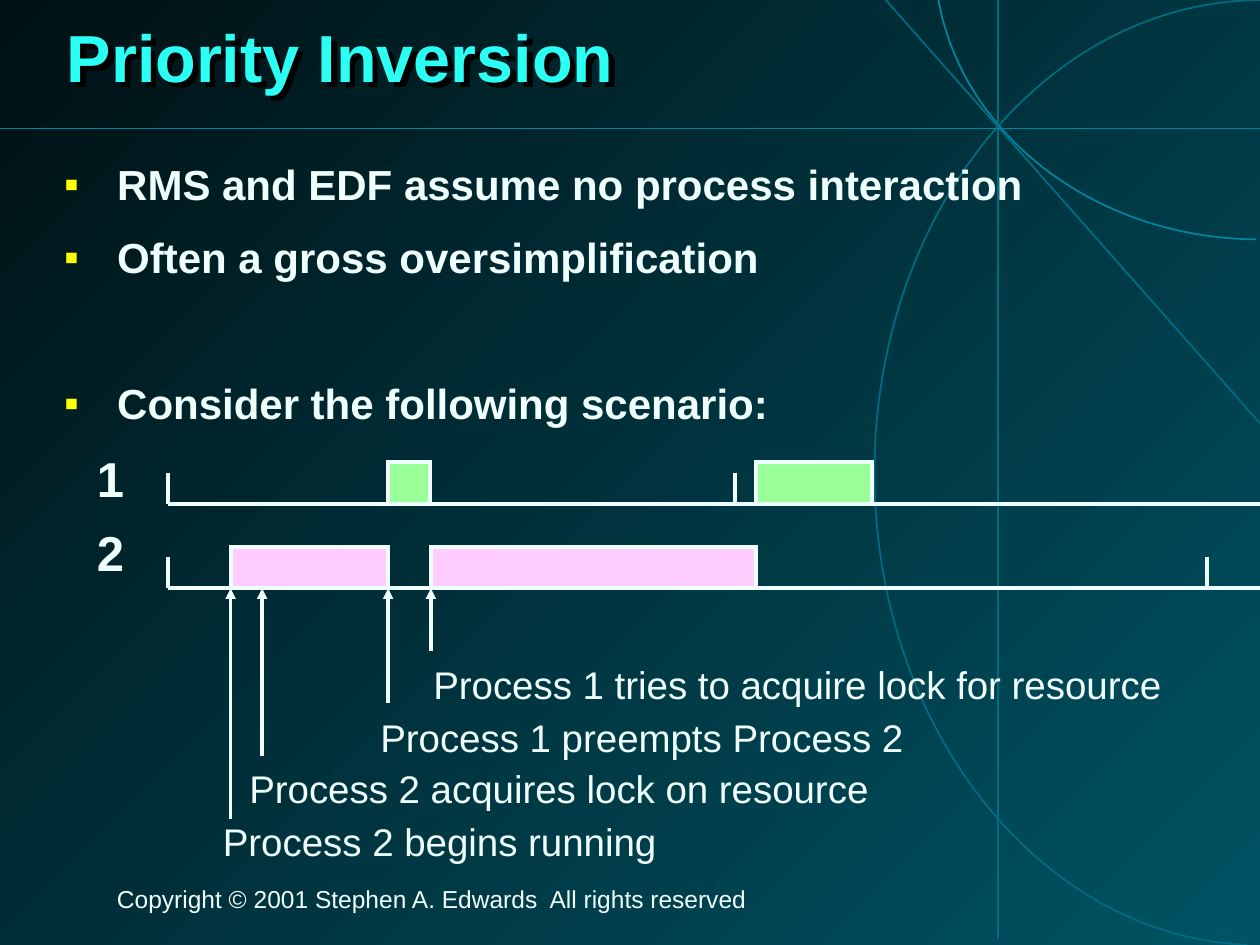
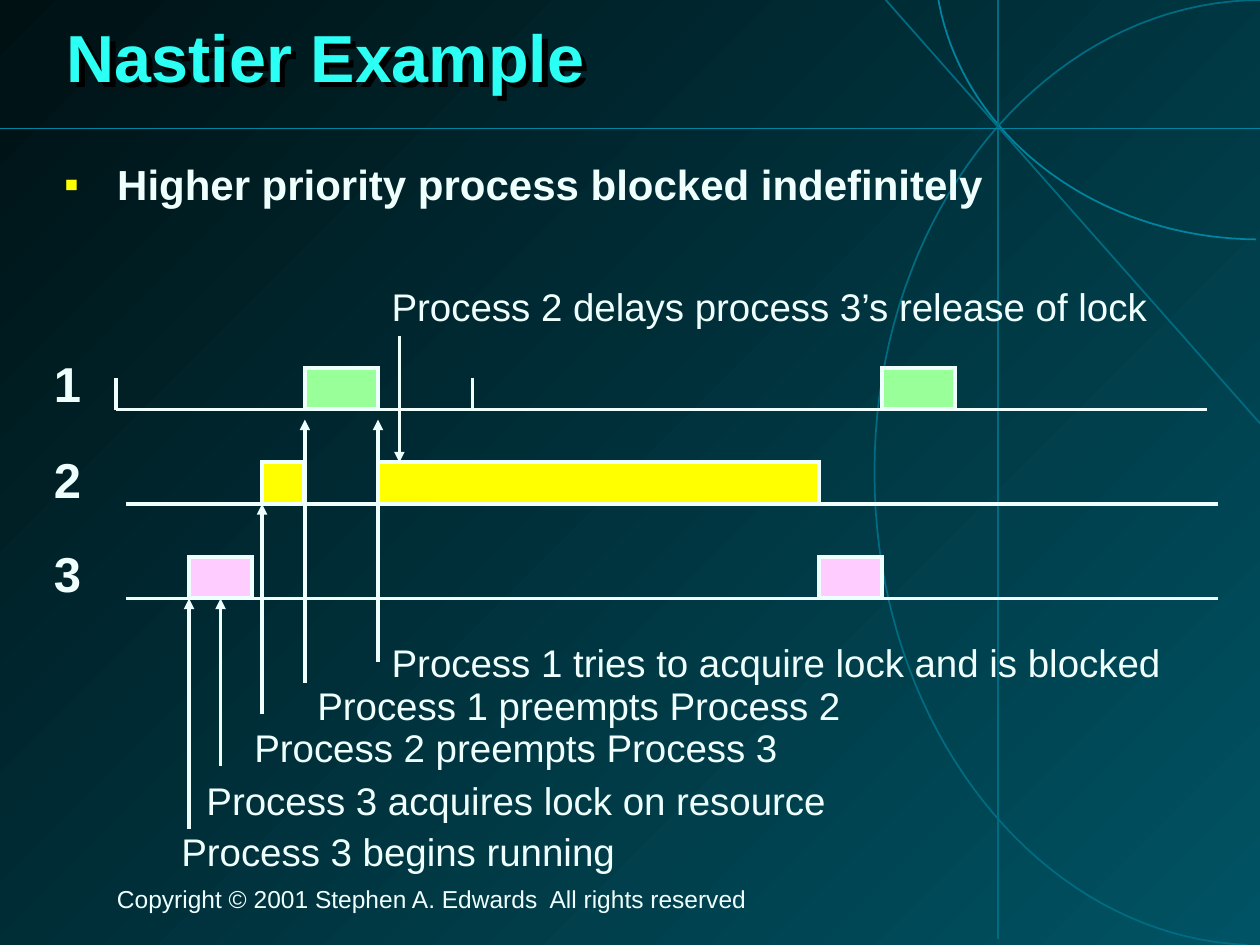
from dataclasses import dataclass
from typing import Any

from lxml import etree
from pptx import Presentation
from pptx.dml.color import RGBColor
from pptx.enum import shapes, text
from pptx.oxml import ns
from pptx.util import Inches, Pt

NIGHT = RGBColor(0x00, 0x11, 0x14)
TEAL = RGBColor(0x00, 0x53, 0x64)
DIM_LINE = RGBColor(0x00, 0x6C, 0x82)
BRIGHT_LINE = RGBColor(0x00, 0x85, 0xA0)
CYAN = RGBColor(0x2C, 0xFF, 0xF3)
PALE = RGBColor(0xEF, 0xFF, 0xFD)
YELLOW = RGBColor(0xFF, 0xFF, 0x00)
GREEN = RGBColor(0x99, 0xFF, 0x99)
PINK = RGBColor(0xFF, 0xCC, 0xFF)

FONT = "Arial"
COPYRIGHT = "Copyright © 2001 Stephen A. Edwards  All rights reserved"
BAR_HEIGHT, TICK_HEIGHT = 0.33, 0.25
LABEL_SIZE, EVENT_HEIGHT = (0.58, 0.5), 0.41
AXIS_WEIGHT, ARROW_WEIGHT, DECOR_WEIGHT = 2.25, 2, 1

Point = tuple[float, float]


@dataclass
class Bullet:
    text: str
    space_before: float = 15


@dataclass
class Timeline:
    """One process: its axis at height y, period ticks and (left, width) run bars."""
    label: str
    label_at: Point
    y: float
    start: float
    end: float
    color: RGBColor
    bars: list[Point]
    ticks: tuple[float, ...] = ()


@dataclass
class Event:
    """A caption and the vertical arrow that points from it to a timeline."""
    text: str
    left: float
    top: float
    width: float
    arrow_x: float
    arrow_from: float
    arrow_to: float


@dataclass
class Scenario:
    title: str
    bullets: list[Bullet]
    timelines: list[Timeline]
    events: list[Event]


SCENARIOS = [
    Scenario(
        "Priority Inversion",
        [Bullet("RMS and EDF assume no process interaction"),
         Bullet("Often a gross oversimplification"),
         Bullet("Consider the following scenario:", 56.7)],
        [Timeline("1", (0.67, 3.58), 4, 1.33, 10, GREEN,
                  [(3.08, 0.33), (6, 0.92)], (1.33, 5.83)),
         Timeline("2", (0.67, 4.17), 4.67, 1.33, 10, PINK,
                  [(1.83, 1.25), (3.42, 2.58)], (1.33, 9.58))],
        [Event("Process 2 begins running", 1.67, 6.5, 3.64, 1.83, 6.5, 4.67),
         Event("Process 2 acquires lock on resource", 1.88, 6.08, 5.15, 2.08, 6, 4.67),
         Event("Process 1 preempts Process 2", 2.92, 5.67, 4.35, 3.08, 5.58, 4.67),
         Event("Process 1 tries to acquire lock for resource",
               3.34, 5.25, 5.98, 3.42, 5.17, 4.67)],
    ),
    Scenario(
        "Nastier Example",
        [Bullet("Higher priority process blocked indefinitely")],
        [Timeline("1", (0.33, 2.83), 3.25, 0.92, 9.58, GREEN,
                  [(2.42, 0.58), (7, 0.58)], (0.92, 3.75)),
         Timeline("2", (0.33, 3.59), 4, 1, 9.67, YELLOW, [(2.08, 0.33), (3, 3.5)]),
         Timeline("3", (0.33, 4.34), 4.75, 1, 9.67, PINK, [(1.5, 0.5), (6.5, 0.5)])],
        [Event("Process 3 begins running", 1.34, 6.58, 3.64, 1.5, 6.58, 4.75),
         Event("Process 3 acquires lock on resource", 1.54, 6.17, 5.15, 1.75, 6.08, 4.75),
         Event("Process 2 preempts Process 3", 1.92, 5.75, 4.35, 2.08, 5.67, 4),
         Event("Process 1 preempts Process 2", 2.42, 5.42, 4.35, 2.42, 5.42, 3.33),
         Event("Process 1 tries to acquire lock and is blocked",
               3.01, 5.08, 6.3, 3, 5.25, 3.33),
         Event("Process 2 delays process 3’s release of lock",
               3.01, 2.25, 6.2, 3.17, 2.67, 3.67)],
    ),
]


def set_all(obj: Any, **values: Any) -> None:
    for name, value in values.items():
        setattr(obj, name, value)


def place(sp: Any, left: float, top: float, width: float, height: float) -> None:
    set_all(sp, left=Inches(left), top=Inches(top),
            width=Inches(width), height=Inches(height))


def sub(parent: Any, tag: str, **attrs: str) -> Any:
    return etree.SubElement(parent, ns.qn(tag), attrs)


def write(p: Any, words: str, size: float, color: RGBColor = PALE, bold: bool = False,
          spacing: float = 0.85, before: float = 0) -> None:
    set_all(p, line_spacing=spacing, space_before=Pt(before))
    r = p.add_run()
    r.text = words
    set_all(r.font, name=FONT, size=Pt(size), bold=bold)
    r.font.color.rgb = color


def add_text(slide: Any, words: str, box: tuple[float, float, float, float], size: float,
             before: float, bold: bool = False, **frame: Any) -> Any:
    sp = slide.shapes.add_textbox(*map(Inches, box))
    set_all(sp.text_frame, **{"word_wrap": True, **frame})
    write(sp.text_frame.paragraphs[0], words, size, bold=bold, before=before)
    return sp


def add_line(slide: Any, start: Point, end: Point, weight: float,
             color: RGBColor = PALE, arrow: bool = False) -> Any:
    line = slide.shapes.add_connector(
        shapes.MSO_CONNECTOR.STRAIGHT, *map(Inches, (*start, *end)))
    line.line.width = Pt(weight)
    line.line.color.rgb = color
    properties = line.element.spPr
    if arrow:
        sub(properties.find(ns.qn("a:ln")), "a:tailEnd", type="triangle")
    sub(properties, "a:effectLst")
    return line


def bezier(controls: list[Point], steps: int = 40) -> list[Point]:
    """Sample a cubic curve, leaving out its first point."""
    points = []
    for i in range(1, steps + 1):
        t = i / steps
        weights = ((1 - t) ** 3, 3 * t * (1 - t) ** 2, 3 * t * t * (1 - t), t ** 3)
        x, y = (sum(w * c[axis] for w, c in zip(weights, controls)) for axis in (0, 1))
        points.append((x, y))
    return points


def add_curve(slide: Any, controls: list[Point], color: RGBColor) -> Any:
    """Draw chained cubic curves; each one starts where the last ended."""
    points = [controls[0]]
    for i in range(0, len(controls) - 1, 3):
        points += bezier(controls[i:i + 4])
    outline = [(Inches(x), Inches(y)) for x, y in points]
    builder = slide.shapes.build_freeform(*outline[0])
    builder.add_line_segments(outline[1:], close=False)
    sp = builder.convert_to_shape()
    sp.shadow.inherit = False
    sp.fill.background()
    sp.line.width = Pt(DECOR_WEIGHT)
    sp.line.color.rgb = color
    return sp


def decorate_layout(layout: Any, slide: Any) -> None:
    """Draw the shared background with the slide's tools and move it to the layout."""
    fill = layout.background.fill
    fill.gradient()
    fill.gradient_angle = 315
    for stop, color in zip(fill.gradient_stops, (NIGHT, TEAL)):
        stop.color.rgb = color
    decor = [
        add_curve(slide, [(9.9, 7.5), (8.25, 7.43), (6.94, 5.77), (6.94, 3.75),
                          (6.94, 1.68), (8.31, 0), (10.02, 0)], DIM_LINE),
        add_curve(slide, [(9.97, 1.9), (8.69, 1.89), (7.61, 1.06), (7.44, -0.05)],
                  BRIGHT_LINE),
        add_line(slide, (10, 3.36), (7.03, 0), DECOR_WEIGHT, DIM_LINE),
        add_line(slide, (7.92, 0), (7.92, 7.45), DECOR_WEIGHT, DIM_LINE),
        add_line(slide, (0, 1.02), (10, 1.02), DECOR_WEIGHT, BRIGHT_LINE),
        add_text(slide, COPYRIGHT, (0.83, 7, 8.08, 0.3), 14, 8.8),
    ]
    for sp in decor:
        layout.shapes.element.append(sp.element)


def fill_title(sp: Any, words: str) -> None:
    place(sp, 0.43, 0, 9.21, 0.98)
    tf = sp.text_frame
    set_all(tf, vertical_anchor=text.MSO_ANCHOR.MIDDLE, word_wrap=True,
            auto_size=text.MSO_AUTO_SIZE.NONE)
    tf.paragraphs[0].alignment = text.PP_ALIGN.LEFT
    write(tf.paragraphs[0], words, 38, CYAN, bold=True, spacing=0.87)
    shadow = sub(sub(sp.element.spPr, "a:effectLst"), "a:outerShdw",
                 dist=str(Inches(0.06)), dir="2700000", algn="ctr", rotWithShape="0")
    sub(shadow, "a:srgbClr", val="000000")


def fill_body(sp: Any, bullets: list[Bullet]) -> None:
    place(sp, 0.41, 1.24, 9.12, 5.59)
    tf = sp.text_frame
    set_all(tf, word_wrap=True, auto_size=text.MSO_AUTO_SIZE.NONE)
    indent = Inches(0.42)
    for i, bullet in enumerate(bullets):
        p = tf.add_paragraph() if i else tf.paragraphs[0]
        write(p, bullet.text, 24, bold=True, spacing=0.93, before=bullet.space_before)
    for properties in sp.element.iter(ns.qn("a:pPr")):
        properties.set("marL", str(indent))
        properties.set("indent", str(-indent))
        sub(sub(properties, "a:buClr"), "a:srgbClr", val=str(YELLOW))
        sub(properties, "a:buFont", typeface=FONT)
        sub(properties, "a:buChar", char="▪")


def draw_timeline(slide: Any, row: Timeline) -> None:
    add_line(slide, (row.end, row.y), (row.start, row.y), AXIS_WEIGHT)
    for x in row.ticks:
        add_line(slide, (x, row.y - TICK_HEIGHT), (x, row.y), AXIS_WEIGHT)
    for left, width in row.bars:
        bar = slide.shapes.add_shape(
            shapes.MSO_SHAPE.RECTANGLE,
            *map(Inches, (left, row.y - BAR_HEIGHT, width, BAR_HEIGHT)))
        bar.shadow.inherit = False
        bar.fill.solid()
        bar.fill.fore_color.rgb = row.color
        bar.line.width = Pt(AXIS_WEIGHT)
        bar.line.color.rgb = PALE
        sub(bar.element.spPr.find(ns.qn("a:ln")), "a:miter", lim="800000")
    add_text(slide, row.label, (*row.label_at, *LABEL_SIZE), 28, 17.5, bold=True)


def draw_event(slide: Any, event: Event) -> None:
    add_line(slide, (event.arrow_x, event.arrow_from), (event.arrow_x, event.arrow_to),
             ARROW_WEIGHT, arrow=True)
    add_text(slide, event.text, (event.left, event.top, event.width, EVENT_HEIGHT),
             22, 13.8, word_wrap=False, vertical_anchor=text.MSO_ANCHOR.MIDDLE,
             auto_size=text.MSO_AUTO_SIZE.SHAPE_TO_FIT_TEXT)


def main() -> None:
    prs = Presentation()
    set_all(prs, slide_width=Inches(10), slide_height=Inches(7.5))
    layout = prs.slide_layouts[1]
    for i, scenario in enumerate(SCENARIOS):
        slide = prs.slides.add_slide(layout)
        if i == 0:
            decorate_layout(layout, slide)
        fill_title(slide.shapes.title, scenario.title)
        fill_body(slide.placeholders[1], scenario.bullets)
        for row in scenario.timelines:
            draw_timeline(slide, row)
        for event in scenario.events:
            draw_event(slide, event)
    prs.save("out.pptx")


if __name__ == "__main__":
    main()
